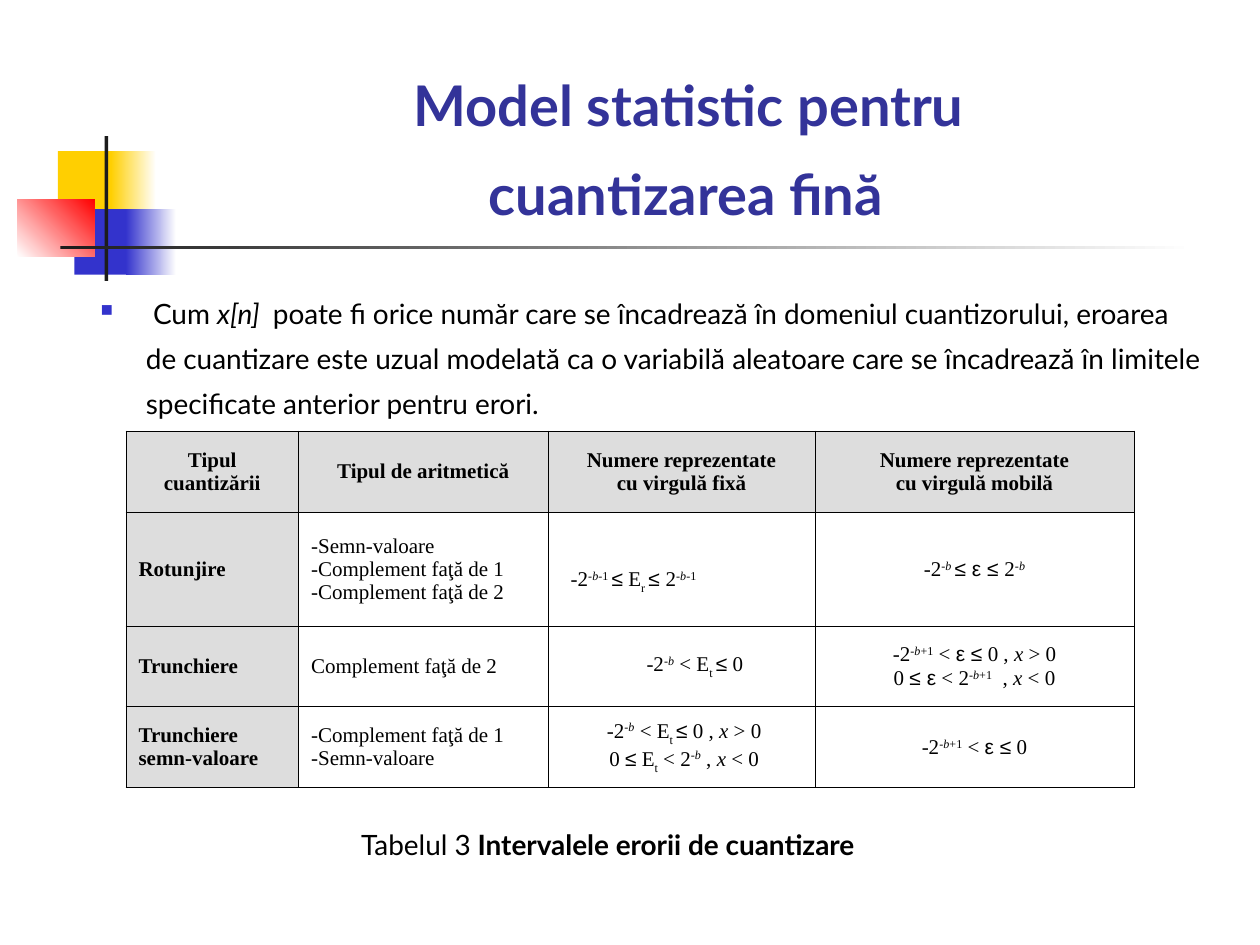
from lxml import etree
from pptx import Presentation
from pptx import util as u
from pptx.dml.color import RGBColor
from pptx.enum import shapes, text
from pptx.oxml.ns import qn

W, H = 10, 7.5
C = dict(yellow="FFCF01", blue="3333CC", red="FF0000", dark="1C1C1C", white="FFFFFF",
         title="333399", black="000000", gray="DDDDDD")
AL = dict(l=text.PP_ALIGN.LEFT, c=text.PP_ALIGN.CENTER, j=text.PP_ALIGN.JUSTIFY)
SERIF, SANS, SYMBOL = "Times New Roman", "Lato", "Arial"

DECOR = [
    ((0.46, 1.2, 0.48, 0.52), ["yellow"], 0),
    ((0.88, 1.2, 0.36, 0.52), ["yellow", "white"], 0),
    ((0.59, 1.66, 0.46, 0.52), ["blue"], 0),
    ((1, 1.66, 0.4, 0.52), ["blue", "white"], 0),
    ((0.14, 1.58, 0.61, 0.46), ["white", "red"], 45),
    ((0.83, 1.08, 0.03, 1.15), ["dark"], 0),
    ((0.48, 1.95, 9, 0.03), ["dark", "white"], 0),
]

TITLE = [["Model statistic pentru ", "\n", "cuantizarea fină", (" ", "L")]]
BODY = [[" Cum ", ("x[n]  ", "i"),
         "poate fi orice număr care se încadrează în domeniul cuantizorului, eroarea "
         "de cuantizare este uzual modelată ca o variabilă aleatoare care se încadrează "
         "în limitele specificate anterior pentru erori."]]
CAPTION = [["Tabelul 3", (" Intervalele erorii de cuantizare", "b")]]

# Run styles: i italic, b bold, ^ superscript, _ subscript, s symbol font, L large
POW_B = [("-", "^"), ("b", "^i")]
POW_B1 = POW_B + [("+1", "^")]
POW_BM1 = POW_B + [("-1", "^")]
LE, X = ("≤", "s"), ("x", "i")
EPS_RANGE = ["-2", *POW_B1, " < ", ("ε ≤", "s")]
ET_RANGE = ["-2", *POW_B, " < E", ("t ", "_"), LE]

HEAD = [
    [["Tipul"], ["cuantizării"]],
    [["Tipul de aritmetică"]],
    [["Numere reprezentate"], ["cu virgulă fixă"]],
    [["Numere reprezentate"], ["cu virgulă mobilă"]],
]
ROWS = [
    HEAD,
    [[["Rotunjire"]],
     [["-Semn-valoare "], ["-Complement faţă de 1"], ["-Complement faţă de 2"]],
     [["-2", *POW_BM1, (" ", "^"), LE, " E", ("r ", "_"), ("≤ ", "si"), "2", *POW_BM1]],
     [["-2", *POW_B, (" ", "^"), ("≤ ε ", "s"), ("≤ ", "si"), "2", *POW_B]]],
    [[["Trunchiere"]],
     [["Complement faţă de 2"]],
     [[*ET_RANGE, " 0"]],
     [[*EPS_RANGE, " 0 , ", X, " > 0"],
      ["0 ", ("≤ ε", "s"), " < 2", *POW_B1, "  , ", X, " < 0"]]],
    [[["Trunchiere"], ["semn-valoare"]],
     [["-Complement faţă de 1"], ["-Semn-valoare"]],
     [[*ET_RANGE, " 0 , ", X, " > 0"],
      ["0 ", LE, " E", ("t", "_"), " < 2", *POW_B, " , ", X, " < 0"]],
     [[*EPS_RANGE, " 0"]]],
]
COLS, ROW_H = [1.37, 1.98, 2.12, 2.53], [0.65, 0.9, 0.64, 0.64]
ALIGN = "ljcc"
CELL_SHIFT = {(1, 2): (0.08, 0.19), (2, 2): (0.21, 0), (3, 2): (0.04, 0)}


def rgb(name):
    return RGBColor.from_string(C[name])


def inches(*values):
    return [u.Inches(v) for v in values]


def write(tf, lines, size=16, font=SANS, color="black", bold=False, align="l",
          spacing=None, large=44, bullet=False):
    for n, runs in enumerate(lines):
        p = tf.paragraphs[0] if n == 0 else tf.add_paragraph()
        p.alignment = AL[align]
        if spacing:
            p.line_spacing = spacing
        if bullet:
            pPr = p._p.get_or_add_pPr()
            pPr.set("marL", str(u.Inches(0.48)))
            pPr.set("indent", str(u.Inches(-0.36)))
            clr = etree.SubElement(pPr, qn("a:buClr"))
            etree.SubElement(clr, qn("a:srgbClr"), val=C["blue"])
            etree.SubElement(pPr, qn("a:buSzPct"), val="60000")
            etree.SubElement(pPr, qn("a:buChar"), char="■")
        for run in runs:
            if run == "\n":
                p.add_line_break()
                continue
            words, style = (run, "") if isinstance(run, str) else run
            r = p.add_run()
            r.text = words
            f = r.font
            f.size = u.Pt(large if "L" in style else size)
            f.name = SYMBOL if "s" in style else font
            f.color.rgb = rgb(color)
            f.bold = bold or "b" in style
            f.italic = "i" in style
            if "^" in style or "_" in style:
                f._element.set("baseline", "30000" if "^" in style else "-30000")


def textbox(s, box, lines, anchor, wrap=True, bottom=0.05, **fmt):
    tf = s.shapes.add_textbox(*inches(*box)).text_frame
    tf.word_wrap = wrap
    tf.vertical_anchor = anchor
    tf.margin_bottom = u.Inches(bottom)
    write(tf, lines, **fmt)


def decorate(s, box, colors, angle):
    sp = s.shapes.add_shape(shapes.MSO_SHAPE.RECTANGLE, *inches(*box))
    sp.shadow.inherit = False
    sp.line.fill.background()
    if len(colors) == 1:
        sp.fill.solid()
        sp.fill.fore_color.rgb = rgb(colors[0])
        return
    sp.fill.gradient()
    sp.fill.gradient_angle = angle
    for stop, color in zip(sp.fill.gradient_stops, colors):
        stop.color.rgb = rgb(color)


def add_borders(cell):
    tcPr = cell._tc.get_or_add_tcPr()
    for n, side in enumerate("LRTB"):
        ln = etree.Element(qn("a:ln" + side), w=str(u.Pt(0.45)))
        fill = etree.SubElement(ln, qn("a:solidFill"))
        etree.SubElement(fill, qn("a:srgbClr"), val=C["black"])
        tcPr.insert(n, ln)


def add_grid(s):
    box = inches(1, 3.42, sum(COLS), sum(ROW_H))
    table = s.shapes.add_table(len(ROW_H), len(COLS), *box).table
    for col, width in zip(table.columns, COLS):
        col.width = u.Inches(width)
    for row, height in zip(table.rows, ROW_H):
        row.height = u.Inches(height)
    for i, row in enumerate(ROWS):
        for j, lines in enumerate(row):
            cell = table.cell(i, j)
            label = i == 0 or j == 0
            left, top = CELL_SHIFT.get((i, j), (0, 0))
            cell.margin_left, cell.margin_top = inches(0.1 + left, 0.05 + top)
            cell.vertical_anchor = text.MSO_ANCHOR.MIDDLE
            cell.fill.solid()
            cell.fill.fore_color.rgb = rgb("gray" if label else "white")
            add_borders(cell)
            align = "c" if i == 0 else "j" if (i, j) == (1, 2) else ALIGN[j]
            write(cell.text_frame, lines, size=12, font=SERIF, bold=label, align=align)


def main():
    prs = Presentation()
    prs.slide_width, prs.slide_height = inches(W, H)
    s = prs.slides.add_slide(prs.slide_layouts[6])
    for item in DECOR:
        decorate(s, *item)
    textbox(s, (1.26, 0.23, 8.52, 1.6), TITLE, text.MSO_ANCHOR.BOTTOM, bottom=0,
            size=32, color="title", bold=True, align="c")
    textbox(s, (0.58, 2.21, 9.08, 4.5), BODY, text.MSO_ANCHOR.TOP,
            spacing=1.35, bullet=True)
    textbox(s, (2.47, 6.5, 4.71, 0.4), CAPTION, text.MSO_ANCHOR.MIDDLE, wrap=False,
            align="c")
    add_grid(s)
    prs.save("out.pptx")


if __name__ == "__main__":
    main()
